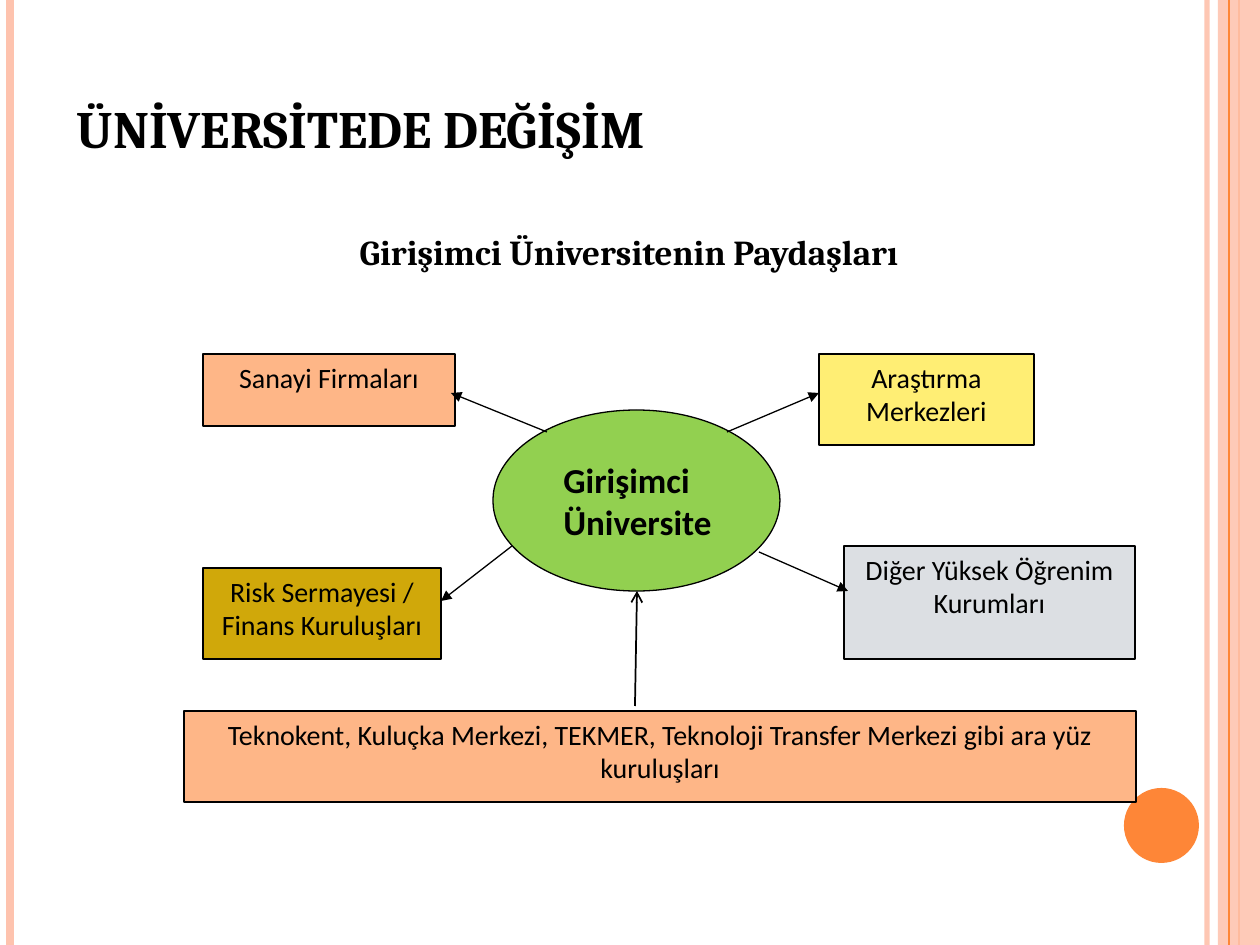
from lxml import etree
from pptx import Presentation
from pptx.dml.color import RGBColor
from pptx.enum.shapes import MSO_CONNECTOR, MSO_SHAPE
from pptx.enum.text import MSO_ANCHOR, MSO_AUTO_SIZE, PP_ALIGN
from pptx.oxml.ns import qn
from pptx.util import Emu, Pt

RECTANGLE, OVAL = MSO_SHAPE.RECTANGLE, MSO_SHAPE.OVAL
STRAIGHT = MSO_CONNECTOR.STRAIGHT
TOP, BOTTOM = MSO_ANCHOR.TOP, MSO_ANCHOR.BOTTOM
LEFT, CENTER = PP_ALIGN.LEFT, PP_ALIGN.CENTER
NO_AUTOFIT = MSO_AUTO_SIZE.NONE
EMU_PER_PX = 914400 / 126
PAGE_WIDTH, PAGE_HEIGHT = 1260, 945
TITLE_ONLY = 5

COLORS = {
    "black": "000000",
    "pink": "FEC3AE",
    "orange": "FE8637",
    "green": "92D050",
    "yellow": "FFEE74",
    "grey": "DCDFE3",
    "peach": "FEB687",
    "gold": "D0A80A",
}

STRIPES = [
    (1207, "pink", 3, 93),
    (10, "pink", 4.5, None),
    (1239, "orange", 1.5, None),
    (1229, "orange", 0.75, None),
]

STAKEHOLDERS = [
    ("Araştırma Merkezleri", (819, 354, 215, 91), "yellow"),
    ("Diğer Yüksek Öğrenim Kurumları", (844, 546, 291, 113), "grey"),
    ("Teknokent, Kuluçka Merkezi, TEKMER, Teknoloji Transfer Merkezi gibi ara yüz "
     "kuruluşları", (184, 711, 952, 91), "peach"),
    ("Risk Sermayesi / Finans Kuruluşları", (203, 568, 238, 91), "gold"),
    ("Sanayi Firmaları", (203, 354, 252, 72), "peach"),
]

ARROWS = [
    ((547, 432), (451, 393), 0.75, "triangle"),
    ((727, 432), (819, 393), 0.75, "triangle"),
    ((759, 552), (848, 591), 0.75, "triangle"),
    ((635, 706), (637, 591), 1, "arrow"),
    ((512, 546), (441, 601), 0.75, "triangle"),
]


def px(length):
    """Turn a length in pixels into EMU."""
    return Emu(round(length * EMU_PER_PX))


def color(name):
    """Look up a named colour."""
    return RGBColor.from_string(COLORS[name])


def set_alpha(fill, percent):
    """Make a solid fill or stroke partly transparent."""
    for node in fill.iter(qn("a:srgbClr")):
        etree.SubElement(node, qn("a:alpha"), val=str(percent * 1000))


def write(frame, text, size, font="Calibri", bold=False, align=CENTER, anchor=TOP):
    """Fill a text frame with one formatted paragraph."""
    frame.word_wrap = True
    frame.auto_size = NO_AUTOFIT
    frame.vertical_anchor = anchor
    para = frame.paragraphs[0]
    para.text = text
    para.alignment = align
    para.font.name = font
    para.font.size = Pt(size)
    para.font.bold = bold
    para.font.color.rgb = color("black")


def add_box(page, kind, area, fill, outlined=True):
    """Add a filled preset shape, with a thin black outline if wanted."""
    box = page.shapes.add_shape(kind, *map(px, area))
    box.shadow.inherit = False
    box.fill.solid()
    box.fill.fore_color.rgb = color(fill)
    if outlined:
        box.line.color.rgb = color("black")
        box.line.width = Pt(0.75)
    else:
        box.line.fill.background()
    return box


def add_line(page, start, end, stroke, width, head=None, alpha=None):
    """Add a straight line with an optional arrowhead at its end."""
    line = page.shapes.add_connector(STRAIGHT, *map(px, start + end))
    line.line.color.rgb = color(stroke)
    line.line.width = Pt(width)
    properties = line.element.spPr
    if alpha:
        set_alpha(properties, alpha)
    if head:
        etree.SubElement(properties.find(qn("a:ln")), qn("a:tailEnd"), type=head)
    etree.SubElement(properties, qn("a:effectLst"))


def add_decoration(page):
    """Draw the edge stripes, the side band and the corner disc."""
    for x, stroke, width, alpha in STRIPES[:3]:
        add_line(page, (x, 0), (x, PAGE_HEIGHT), stroke, width, alpha=alpha)
    band = add_box(page, RECTANGLE, (1218, 0, 42, PAGE_HEIGHT), "pink", outlined=False)
    set_alpha(band.element.spPr, 87)
    x, stroke, width, alpha = STRIPES[3]
    add_line(page, (x, 0), (x, PAGE_HEIGHT), stroke, width, alpha=alpha)
    add_box(page, OVAL, (1124, 788, 75, 75), "orange", outlined=False)


def add_headings(page):
    """Place the slide title and the heading of the diagram."""
    title = page.shapes.title
    title.left, title.top, title.width, title.height = map(px, (64, 55, 1029, 110))
    write(title.text_frame, "ÜNİVERSİTEDE DEĞİŞİM", 30, "Cambria", True, LEFT, BOTTOM)
    heading = page.shapes.add_textbox(*map(px, (292, 224, 674, 55)))
    write(heading.text_frame, "Girişimci Üniversitenin Paydaşları", 20, "Cambria", True)


def add_diagram(page):
    """Draw the university, its stakeholders and the arrows between them."""
    add_box(page, OVAL, (493, 410, 287, 181), "green")
    for text, area, fill in STAKEHOLDERS:
        write(add_box(page, RECTANGLE, area, fill).text_frame, text, 16)
    label = add_box(page, RECTANGLE, (551, 452, 189, 91), "green", outlined=False)
    write(label.text_frame, "Girişimci Üniversite", 20, bold=True, align=LEFT)
    for start, end, width, head in ARROWS:
        add_line(page, start, end, "black", width, head)


def main():
    """Build the slide and save it."""
    deck = Presentation()
    deck.slide_width, deck.slide_height = px(PAGE_WIDTH), px(PAGE_HEIGHT)
    page = deck.slides.add_slide(deck.slide_layouts[TITLE_ONLY])
    add_decoration(page)
    add_headings(page)
    add_diagram(page)
    deck.save("out.pptx")


if __name__ == "__main__":
    main()
